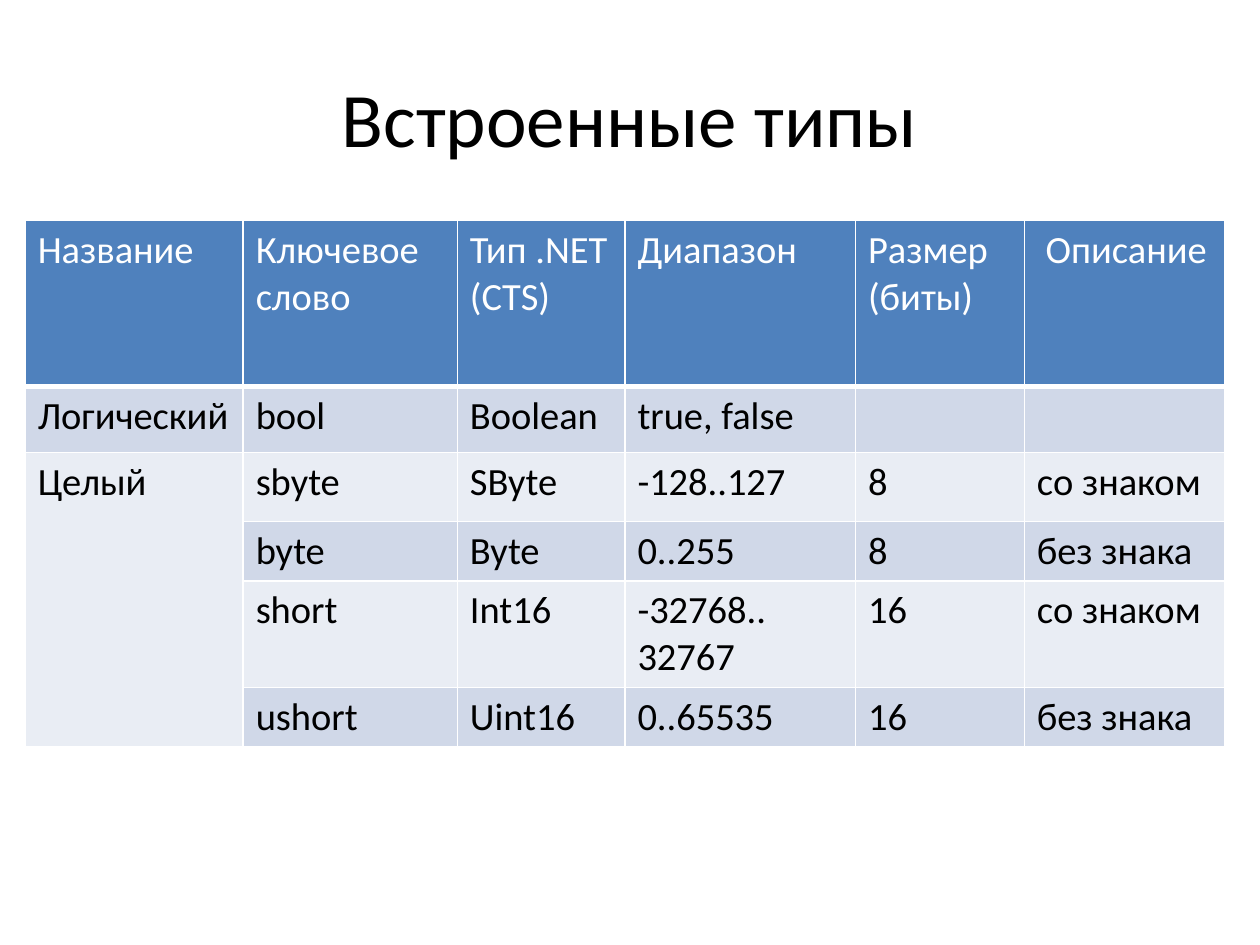
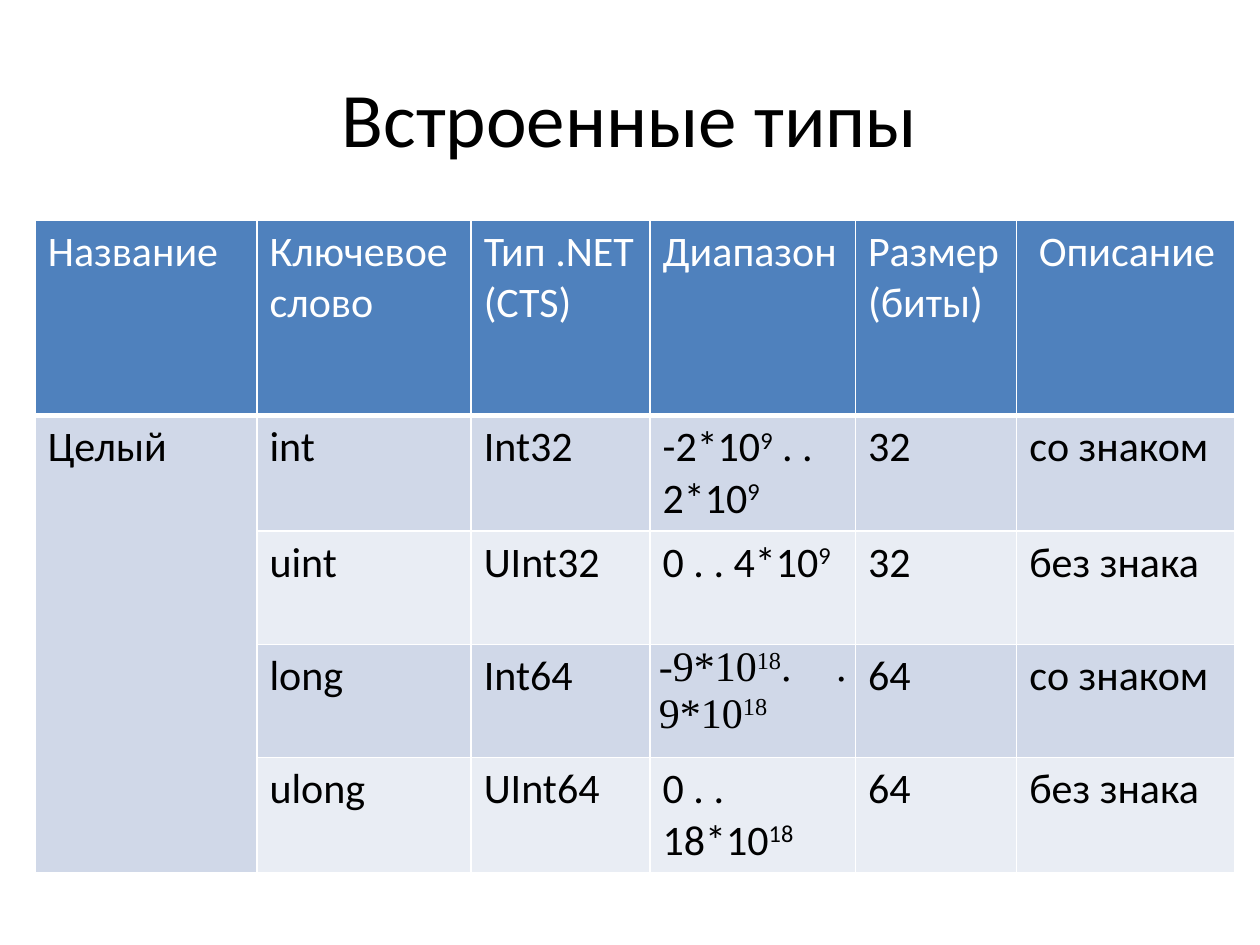
from lxml.etree import SubElement
from pptx import Presentation
from pptx.dml.color import RGBColor
from pptx.enum.text import MSO_ANCHOR, PP_ALIGN
from pptx.oxml.ns import qn
from pptx.util import Inches, Pt

WHITE = RGBColor(0xFF, 0xFF, 0xFF)
BLACK = RGBColor(0, 0, 0)
BLUE = RGBColor(0x4F, 0x81, 0xBD)
BANDS = [RGBColor(0xE9, 0xED, 0xF4), RGBColor(0xD0, 0xD8, 0xE8)]
FONT = "Calibri"
SERIF = "Times New Roman"
TITLE = "Встроенные типы"
SIGNED, PLAIN = "со знаком", "без знака"


def set_font(para, name, size, color):
    font = para.font
    font.name, font.size, font.bold = name, Pt(size), False
    font.color.rgb = color


def set_edges(cell, base):
    props = cell._tc.get_or_add_tcPr()
    for side, width in (("L", 1), ("R", 1), ("T", 1), ("B", base)):
        line = SubElement(props, qn(f"a:ln{side}"), w=str(Pt(width)))
        fill = SubElement(line, qn("a:solidFill"))
        SubElement(fill, qn("a:srgbClr"), val=str(WHITE))


def_head = ["Название", "Ключевое слово", "Тип .NET (CTS)", "Диапазон", "Размер (биты)", " Описание"]
split_head = [text.replace(" (CTS)", "\n(CTS)") for text in def_head]

tables = [
    {
        "left": 0.2, "size": 22, "merge": (2, 5),
        "cols": [1.73, 1.7, 1.33, 1.83, 1.34, 1.59],
        "rows": [1.32, 0.52, 0.55, 0.47, 0.84, 0.47],
        "cells": [
            split_head,
            ["Логический", "bool", "Boolean", "true, false", "", ""],
            ["Целый", "sbyte", "SByte", "-128..127", "8", SIGNED],
            ["", "byte", "Byte", "0..255", "8", PLAIN],
            ["", "short", "Int16", "-32768.. 32767", "16", SIGNED],
            ["", "ushort", "Uint16", "0..65535", "16", PLAIN],
        ],
    },
    {
        "left": 0.28, "size": 24, "merge": (1, 4), "serif": (3, 3),
        "cols": [1.76, 1.7, 1.42, 1.63, 1.28, 1.73],
        "rows": [1.55] + [0.9] * 4,
        "cells": [
            def_head,
            ["Целый", "int", "Int32", "-2*10^9^ . . 2*10^9", "32", SIGNED],
            ["", "uint", "UInt32", "0 . . 4*10^9", "32", PLAIN],
            ["", "long", "Int64", "-9*10^18^. . 9*10^18", "64", SIGNED],
            ["", "ulong", "UInt64", "0 . . 18*10^18", "64", PLAIN],
        ],
    },
]

deck = Presentation()
deck.slide_width, deck.slide_height = Inches(10), Inches(7.5)

for data in tables:
    slide = deck.slides.add_slide(deck.slide_layouts[5])
    title = slide.shapes.title
    title.left, title.top = Inches(0.5), Inches(0.3)
    title.width, title.height = Inches(9), Inches(1.25)
    title.text_frame.text = TITLE
    title.text_frame.vertical_anchor = MSO_ANCHOR.MIDDLE
    para = title.text_frame.paragraphs[0]
    para.alignment = PP_ALIGN.CENTER
    set_font(para, FONT, 44, BLACK)

    cols, rows = data["cols"], data["rows"]
    table = slide.shapes.add_table(
        len(rows), len(cols), Inches(data["left"]), Inches(1.75),
        Inches(sum(cols)), Inches(sum(rows))).table
    for col, width in zip(table.columns, cols):
        col.width = Inches(width)
    for row, height in zip(table.rows, rows):
        row.height = Inches(height)

    for r, texts in enumerate(data["cells"]):
        for c, text in enumerate(texts):
            cell = table.cell(r, c)
            set_edges(cell, 1 if r else 3)
            cell.fill.solid()
            cell.fill.fore_color.rgb = BANDS[r % 2] if r else BLUE
            serif = data.get("serif") == (r, c)
            if serif:
                cell.margin_left = cell.margin_right = Inches(0.07)
                cell.margin_top = cell.margin_bottom = 0
            frame = cell.text_frame
            for n, line in enumerate(text.split("\n")):
                para = frame.add_paragraph() if n else frame.paragraphs[0]
                if serif:
                    para.alignment = PP_ALIGN.JUSTIFY
                set_font(para, SERIF if serif else FONT, data["size"], BLACK if r else WHITE)
                for k, part in enumerate(line.split("^")):
                    if part:
                        run = para.add_run()
                        run.text = part
                        if k % 2:
                            run._r.get_or_add_rPr().set("baseline", "30000")

    first, last = data["merge"]
    table.cell(first, 0).merge(table.cell(last, 0))

deck.save("out.pptx")
